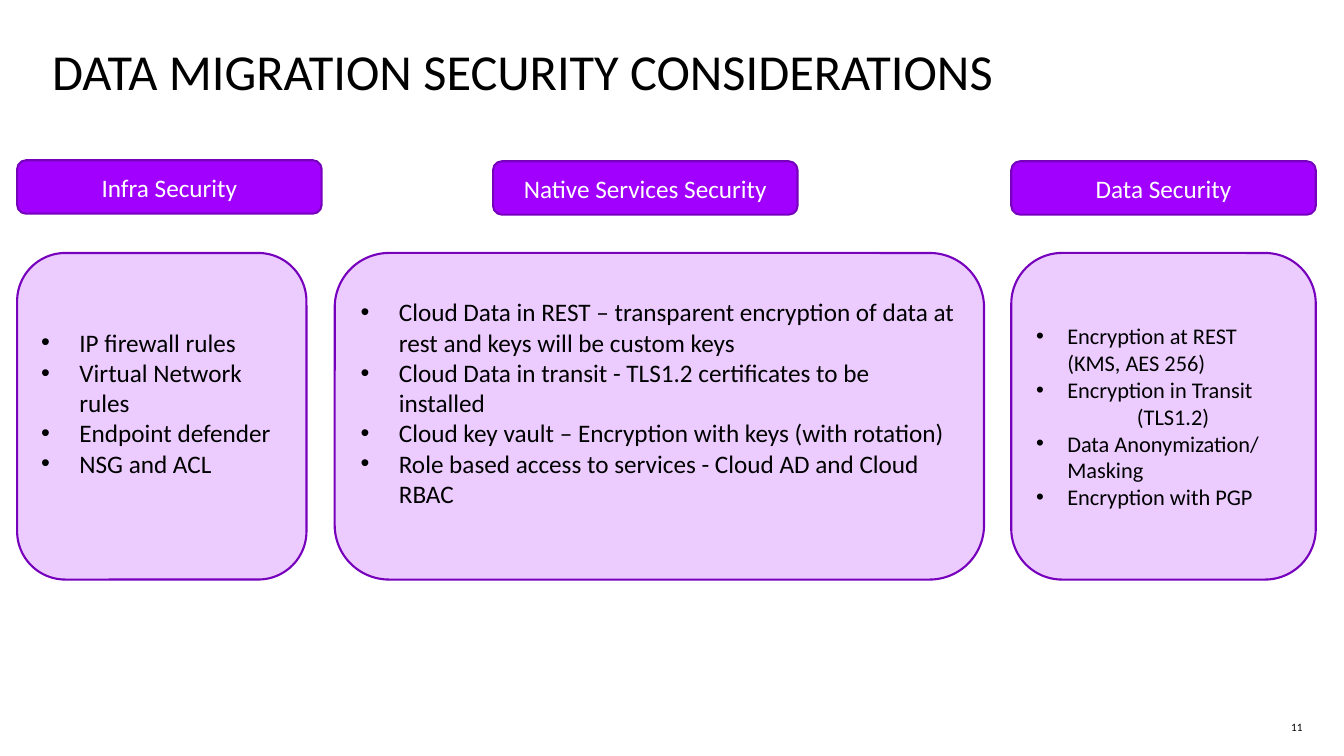
from lxml import etree
from pptx import Presentation
from pptx.dml.color import RGBColor
from pptx.enum.shapes import MSO_SHAPE
from pptx.enum.text import MSO_ANCHOR, PP_ALIGN
from pptx.oxml.ns import qn
from pptx.util import Inches, Pt

ROUNDED = MSO_SHAPE.ROUNDED_RECTANGLE
MIDDLE = MSO_ANCHOR.MIDDLE
LEFT, CENTER, RIGHT = PP_ALIGN.LEFT, PP_ALIGN.CENTER, PP_ALIGN.RIGHT
FONT = "Calibri"
BLACK, WHITE = "000000", "FFFFFF"
PURPLE, DARK_PURPLE, LILAC = "A100FF", "7700BD", "ECCCFF"
HEADER_WIDTH, HEADER_HEIGHT = 3.02, 0.53
PANEL_TOP, PANEL_HEIGHT = 2.51, 3.24
CONTINUATION_INDENT = 1

COLUMNS = [
    {
        "title": "Infra Security", "header": (0.17, 1.59), "panel": (0.17, 2.87),
        "size": 18, "indent": 0.38, "bottom": 0.32,
        "items": ["IP firewall rules", "Virtual Network rules",
                  "Endpoint defender", "NSG and ACL"],
    },
    {
        "title": "Native Services Security", "header": (4.89, 1.6), "panel": (3.32, 6.44),
        "size": 18, "indent": 0.38, "bottom": 0.32,
        "items": [
            "Cloud Data in REST – transparent encryption of data at rest"
            " and keys will be custom keys",
            "Cloud Data in transit - TLS1.2 certificates to be\vinstalled",
            "Cloud key vault – Encryption with keys (with rotation)",
            "Role based access to services - Cloud AD and Cloud RBAC",
        ],
    },
    {
        "title": "Data Security", "header": (10.03, 1.6), "panel": (10.03, 3.02),
        "size": 16, "indent": 0.31, "bottom": 0.05,
        "items": ["Encryption at REST (KMS, AES 256)", "Encryption in Transit",
                  ("(TLS1.2)",), "Data Anonymization/ Masking", "Encryption with PGP"],
    },
]


def color(value):
    return RGBColor.from_string(value)


def set_values(target, values):
    for name, value in values.items():
        setattr(target, name, value)


def format_paragraph(paragraph, text, size, font_color, alignment):
    paragraph.text = text
    paragraph.alignment = alignment
    set_values(paragraph.font, {"name": FONT, "size": Pt(size)})
    paragraph.font.color.rgb = color(font_color)


def indent_paragraph(paragraph, indent, bullet):
    properties = paragraph._p.get_or_add_pPr()
    properties.set("marL", str(Inches(indent)))
    properties.set("indent", str(-Inches(indent) if bullet else 0))
    if bullet:
        etree.SubElement(properties, qn("a:buFont")).set("typeface", "Arial")
        etree.SubElement(properties, qn("a:buChar")).set("char", "•")


def add_text(slide, box, text, size, alignment, frame_values):
    frame = slide.shapes.add_textbox(*map(Inches, box)).text_frame
    set_values(frame, {"vertical_anchor": MIDDLE, **frame_values})
    format_paragraph(frame.paragraphs[0], text, size, BLACK, alignment)


def add_rounded_box(slide, box, fill):
    shape = slide.shapes.add_shape(ROUNDED, *map(Inches, box))
    shape.shadow.inherit = False
    shape.fill.solid()
    shape.fill.fore_color.rgb = color(fill)
    shape.line.color.rgb = color(DARK_PURPLE)
    shape.line.width = Pt(1.5)
    set_values(shape.text_frame, {"word_wrap": True, "vertical_anchor": MIDDLE})
    return shape.text_frame


def add_header(slide, box, title):
    frame = add_rounded_box(slide, box, PURPLE)
    format_paragraph(frame.paragraphs[0], title, 18, WHITE, CENTER)


def add_panel(slide, box, column):
    frame = add_rounded_box(slide, box, LILAC)
    frame.margin_bottom = Inches(column["bottom"])
    for index, item in enumerate(column["items"]):
        paragraph = frame.paragraphs[0] if index == 0 else frame.add_paragraph()
        bullet = isinstance(item, str)
        indent_paragraph(paragraph, column["indent"] if bullet else CONTINUATION_INDENT, bullet)
        text = item if bullet else item[0]
        format_paragraph(paragraph, text, column["size"], BLACK, LEFT)


def add_column(slide, column):
    panel_left, panel_width = column["panel"]
    add_header(slide, (*column["header"], HEADER_WIDTH, HEADER_HEIGHT), column["title"])
    add_panel(slide, (panel_left, PANEL_TOP, panel_width, PANEL_HEIGHT), column)


def main():
    presentation = Presentation()
    set_values(presentation, {"slide_width": Inches(13.33), "slide_height": Inches(7.5)})
    slide = presentation.slides.add_slide(presentation.slide_layouts[6])
    add_text(slide, (0.42, 0.31, 12.5, 0.77), "DATA MIGRATION SECURITY CONSIDERATIONS",
             36, LEFT, {"word_wrap": True})
    margins = dict.fromkeys(("margin_left", "margin_top", "margin_right", "margin_bottom"), 0)
    add_text(slide, (12.56, 7.1, 0.36, 0.22), "11", 8, RIGHT, {"word_wrap": True, **margins})
    for column in COLUMNS:
        add_column(slide, column)
    presentation.save("out.pptx")


if __name__ == "__main__":
    main()
